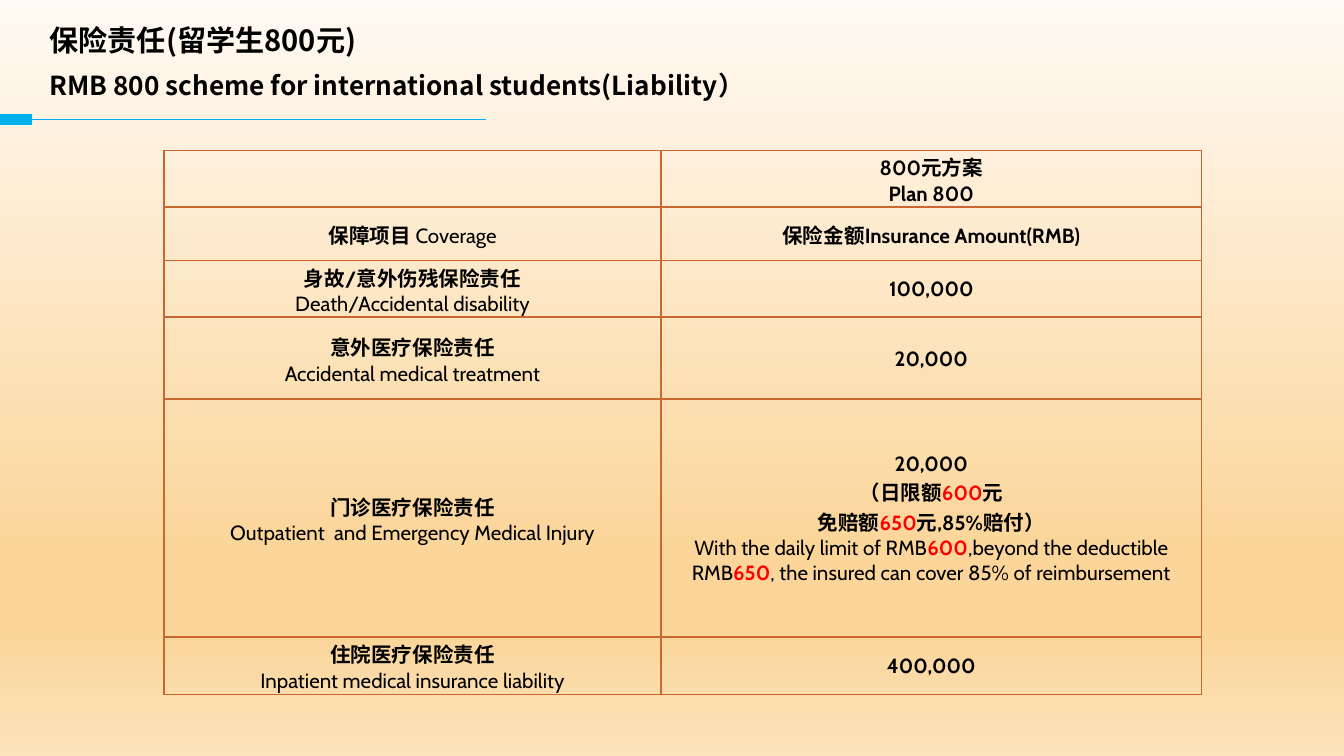
from lxml import etree
from pptx import Presentation
from pptx.dml.color import RGBColor
from pptx.enum.shapes import MSO_CONNECTOR, MSO_SHAPE
from pptx.enum.text import MSO_ANCHOR as ANCHOR, PP_ALIGN as ALIGN
from pptx.oxml.ns import qn
from pptx.util import Inches, Pt

CJK = "Noto Sans CJK SC"
BLACK, RED, BLUE, ORANGE = "000000", "FF0000", "00B0F0", "C96731"
BREAK = ("\n", True, BLACK)


def rgb(value):
    return RGBColor.from_string(value)


def style_run(run, size, latin, bold=True, color=BLACK):
    run.font.size = Pt(size)
    run.font.name = latin
    run.font.bold = bold
    run.font.color.rgb = rgb(color)
    east_asian = etree.SubElement(run.font._element, qn("a:ea"))
    east_asian.set("typeface", CJK)


prs = Presentation()
prs.slide_width = Inches(10)
prs.slide_height = Inches(10) * 9 // 16
slide = prs.slides.add_slide(prs.slide_layouts[5])

backdrop = slide.background.fill
backdrop.gradient()
backdrop.gradient_angle = 270
stops = slide._element.find(".//" + qn("a:gsLst"))
for stop in list(stops):
    stops.remove(stop)
for percent, color in [(0, "FFFAF4"), (74, "FBD599"), (83, "FBD599"), (100, "FCE3BB")]:
    stop = etree.SubElement(stops, qn("a:gs"), pos=str(percent * 1000))
    etree.SubElement(stop, qn("a:srgbClr"), val=color)

heading = slide.shapes.title
heading.left, heading.top = Inches(0.27), Inches(0.02)
heading.width, heading.height = Inches(4.92), Inches(0.47)
heading.text_frame.text = "保险责任(留学生800元)"
heading.text_frame.vertical_anchor = ANCHOR.BOTTOM
heading_line = heading.text_frame.paragraphs[0]
heading_line.alignment = ALIGN.LEFT
style_run(heading_line.runs[0], 19.5, CJK)
heading_line.runs[0].font._element.set("cap", "small")

subheading = slide.shapes.add_textbox(Inches(0.27), Inches(0.44), Inches(8.9), Inches(0.39))
subheading_frame = subheading.text_frame
subheading_frame.word_wrap = True
subheading_frame.vertical_anchor = ANCHOR.MIDDLE
subheading_frame.margin_top = subheading_frame.margin_bottom = Inches(0.01)
subheading_frame.text = "RMB 800 scheme for international students(Liability）"
style_run(subheading_frame.paragraphs[0].runs[0], 14, CJK)

accent = slide.shapes.add_shape(MSO_SHAPE.RECTANGLE, 0, Inches(0.85), Inches(0.24), Inches(0.08))
accent.shadow.inherit = False
accent.fill.solid()
accent.fill.fore_color.rgb = rgb(BLUE)
accent.line.fill.background()

underline = slide.shapes.add_connector(
    MSO_CONNECTOR.STRAIGHT, Inches(3.62), Inches(0.89), Inches(0.24), Inches(0.89))
underline.end_connect(accent, 3)
underline.line.color.rgb = rgb(BLUE)
underline.line.width = Pt(0.5)
etree.SubElement(underline._element.spPr, qn("a:effectLst"))

outpatient_amount = [
    [("20,000", True, BLACK), BREAK, ("（日限额", True, BLACK), ("600", True, RED),
     ("元", True, BLACK), BREAK, ("免赔额", True, BLACK), ("650", True, RED),
     ("元,85%赔付）", True, BLACK)],
    [("With the daily limit of RMB", False, BLACK), ("600", True, RED),
     (",beyond the deductible RMB", False, BLACK), ("650", True, RED),
     (", the insured can cover 85% of reimbursement", False, BLACK)],
]
cells = {
    (0, 1): [[("800元方案", True, BLACK)], [("Plan 800", True, BLACK)]],
    (1, 0): [[("保障项目 ", True, BLACK), ("Coverage", False, BLACK)]],
    (1, 1): [[("保险金额Insurance Amount(RMB)", True, BLACK)]],
}
liabilities = [
    ("身故/意外伤残保险责任", "Death/Accidental disability", "100,000"),
    ("意外医疗保险责任", "Accidental medical treatment", "20,000"),
    ("门诊医疗保险责任", "Outpatient  and Emergency Medical Injury", None),
    ("住院医疗保险责任", "Inpatient medical insurance liability", "400,000"),
]
for r, (chinese, english, amount) in enumerate(liabilities, start=2):
    cells[r, 0] = [[(chinese, True, BLACK), BREAK, (english, False, BLACK)]]
    cells[r, 1] = [[(amount, True, BLACK)]] if amount else outpatient_amount

column_widths = [3.7, 4.02]
row_heights = [0.42, 0.4, 0.42, 0.61, 1.77, 0.43]
coverage = slide.shapes.add_table(
    len(row_heights), len(column_widths), Inches(1.22), Inches(1.12),
    Inches(sum(column_widths)), Inches(sum(row_heights))).table
coverage.first_row = coverage.horz_banding = False
for column, width in zip(coverage.columns, column_widths):
    column.width = Inches(width)
for row, height in zip(coverage.rows, row_heights):
    row.height = Inches(height)

for r in range(len(row_heights)):
    for c in range(len(column_widths)):
        cell = coverage.cell(r, c)
        cell.fill.background()
        cell.vertical_anchor = ANCHOR.MIDDLE
        cell.margin_left = cell.margin_right = cell.margin_top = Inches(0.01)
        cell.margin_bottom = 0

        for order, tag in enumerate(["a:lnL", "a:lnR", "a:lnT", "a:lnB"]):
            border = etree.Element(qn(tag), w=str(Pt(1)))
            border_fill = etree.SubElement(border, qn("a:solidFill"))
            etree.SubElement(border_fill, qn("a:srgbClr"), val=ORANGE)
            cell._tc.tcPr.insert(order, border)

        for i, pieces in enumerate(cells.get((r, c), [])):
            frame = cell.text_frame
            paragraph = frame.add_paragraph() if i else frame.paragraphs[0]
            paragraph.alignment = ALIGN.CENTER
            for text, bold, color in pieces:
                if text == "\n":
                    paragraph.add_line_break()
                    etree.SubElement(paragraph._p[-1], qn("a:rPr"), sz="1100")
                else:
                    run = paragraph.add_run()
                    run.text = text
                    style_run(run, 11, "Cabin", bold, color)

prs.save("out.pptx")
